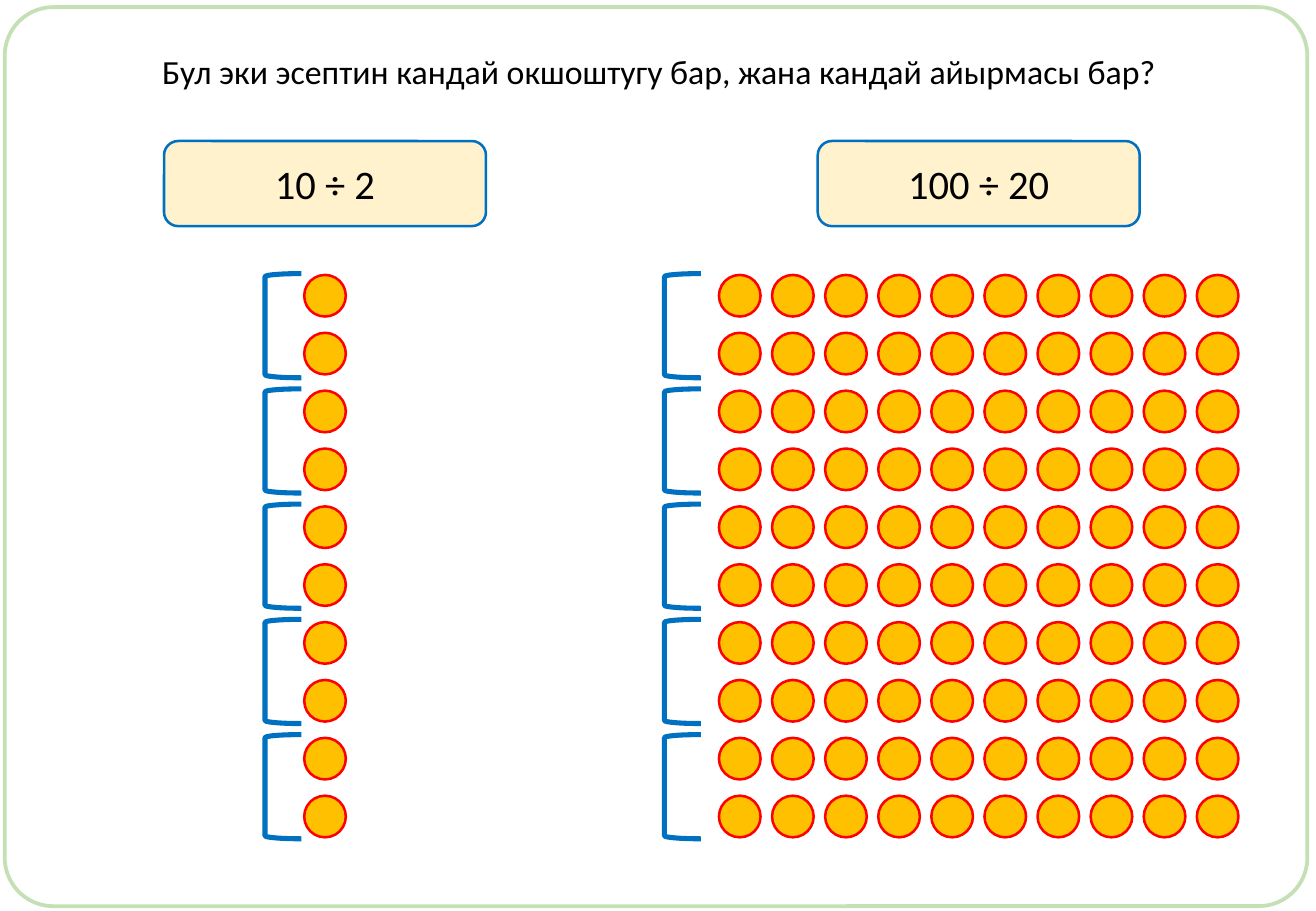
from pptx import Presentation
from pptx.dml.color import RGBColor
from pptx.enum.shapes import MSO_SHAPE
from pptx.enum.text import MSO_ANCHOR, PP_ALIGN
from pptx.util import Cm, Pt

ROUNDED, OVAL = MSO_SHAPE.ROUNDED_RECTANGLE, MSO_SHAPE.OVAL
BRACKET = MSO_SHAPE.RIGHT_BRACKET
MIDDLE, CENTER = MSO_ANCHOR.MIDDLE, PP_ALIGN.CENTER
TITLE_ONLY = 5

COLORS = {
    "text": "000000",
    "card": "FFF2CC",
    "blue": "0070C0",
    "dot": "FFC000",
    "dot_line": "FF0000",
    "frame": "C5E0B4",
}

# All lengths in centimetres
SLIDE_WIDTH, SLIDE_HEIGHT = 27.51, 19.05
CARD_WIDTH, CARD_HEIGHT = 6.73, 1.78
DOT_SIZE, DOT_STEP_X, DOT_STEP_Y = 0.87, 1.11, 1.21
DOT_ROWS, DOTS_OFFSET = 10, 2.8
BRACKET_WIDTH, BRACKET_HEIGHT = 0.76, 2.18
BRACKET_COUNT, BRACKET_STEP, BRACKETS_OFFSET = 5, 2.41, 2.77


def color(name):
    return RGBColor.from_string(COLORS[name])


def set_text(shape, text, size, wrap=True):
    frame = shape.text_frame
    frame.word_wrap = wrap
    frame.vertical_anchor = MIDDLE
    paragraph = frame.paragraphs[0]
    paragraph.alignment = CENTER
    run = paragraph.add_run()
    run.text = text
    run.font.name = "Calibri"
    run.font.size = Pt(size)
    run.font.color.rgb = color("text")


def add_outlined(shapes, kind, left, top, width, height, line, weight, fill=None):
    shape = shapes.add_shape(kind, Cm(left), Cm(top), Cm(width), Cm(height))
    shape.shadow.inherit = False
    if fill:
        shape.fill.solid()
        shape.fill.fore_color.rgb = color(fill)
    else:
        shape.fill.background()
    shape.line.color.rgb = color(line)
    shape.line.width = Pt(weight)
    return shape


def add_dots(slide, left, top, columns):
    """Group a grid of counting dots."""
    group = slide.shapes.add_group_shape()
    for row in range(DOT_ROWS):
        for column in range(columns):
            add_outlined(group.shapes, OVAL, left + column * DOT_STEP_X,
                         top + row * DOT_STEP_Y, DOT_SIZE, DOT_SIZE,
                         "dot_line", 1.5, fill="dot")


def add_brackets(slide, left, top):
    for index in range(BRACKET_COUNT):
        bracket = add_outlined(slide.shapes, BRACKET, left, top + index * BRACKET_STEP,
                               BRACKET_WIDTH, BRACKET_HEIGHT, "blue", 3)
        bracket.rotation = 180


def add_division(slide, left, top, width, expression, columns, bracket_gap):
    """Centre an expression card and its bracketed dots in the given box."""
    center = left + width / 2
    card = add_outlined(slide.shapes, ROUNDED, center - CARD_WIDTH / 2, top,
                        CARD_WIDTH, CARD_HEIGHT, "blue", 1.5, fill="card")
    set_text(card, expression, size=24)

    dots_width = (columns - 1) * DOT_STEP_X + DOT_SIZE
    dots_left = center - dots_width / 2
    add_dots(slide, dots_left, top + DOTS_OFFSET, columns)
    add_brackets(slide, dots_left - bracket_gap - BRACKET_WIDTH, top + BRACKETS_OFFSET)


def add_question(slide, left, top, width, height, text):
    title = slide.shapes.title
    title.left, title.top = Cm(left), Cm(top)
    title.width, title.height = Cm(width), Cm(height)
    set_text(title, text, size=20, wrap=False)


def add_frame(slide, left, top, width, height):
    frame = add_outlined(slide.shapes, ROUNDED, left, top, width, height, "frame", 2.25)
    frame.adjustments[0] = 0.054


def main():
    presentation = Presentation()
    presentation.slide_width = Cm(SLIDE_WIDTH)
    presentation.slide_height = Cm(SLIDE_HEIGHT)
    slide = presentation.slides.add_slide(presentation.slide_layouts[TITLE_ONLY])

    add_question(slide, 3.05, 0.92, 21.46, 1.11,
                 "Бул эки эсептин кандай окшоштугу бар, жана кандай айырмасы бар?")
    add_division(slide, 3.43, 2.95, 6.73, "10 ÷ 2", columns=1, bracket_gap=0.06)
    add_division(slide, 15.02, 2.95, 10.88, "100 ÷ 20", columns=10, bracket_gap=0.38)
    add_frame(slide, 0.1, 0.15, 27.23, 18.8)
    presentation.save("out.pptx")


if __name__ == "__main__":
    main()
